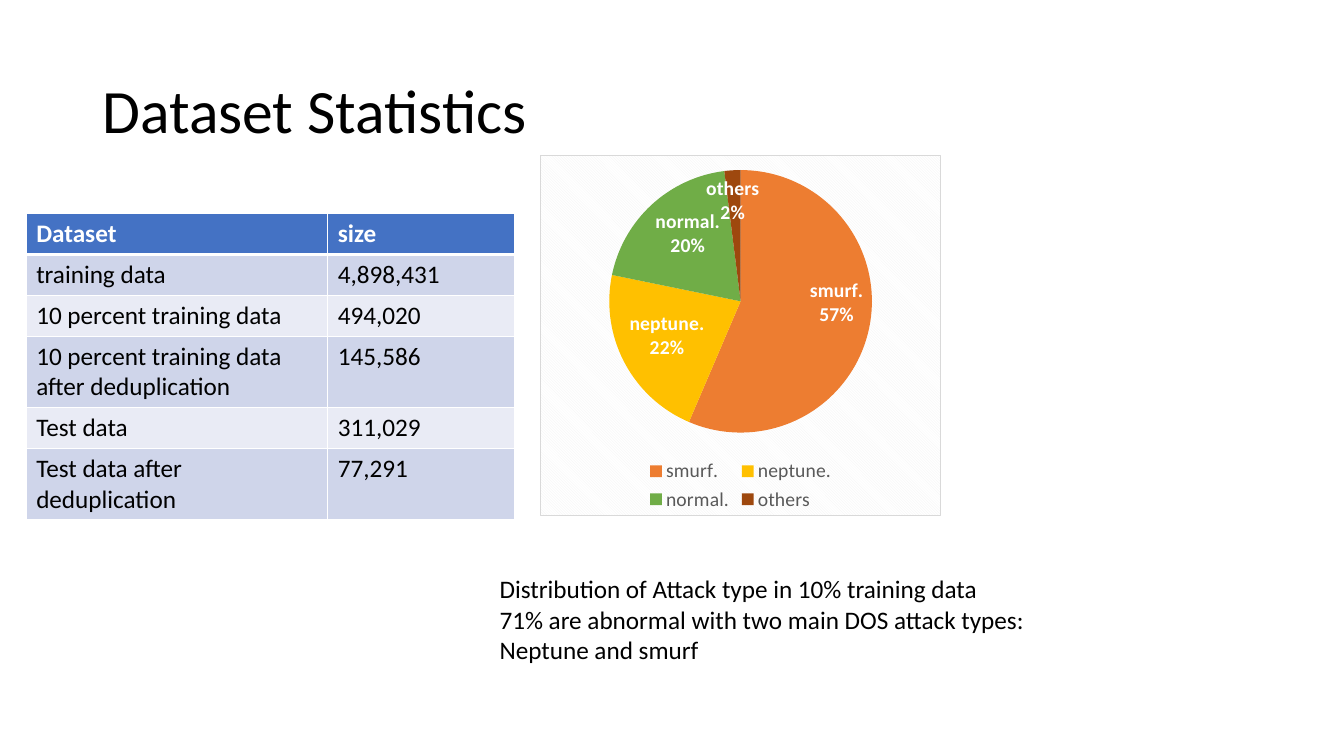
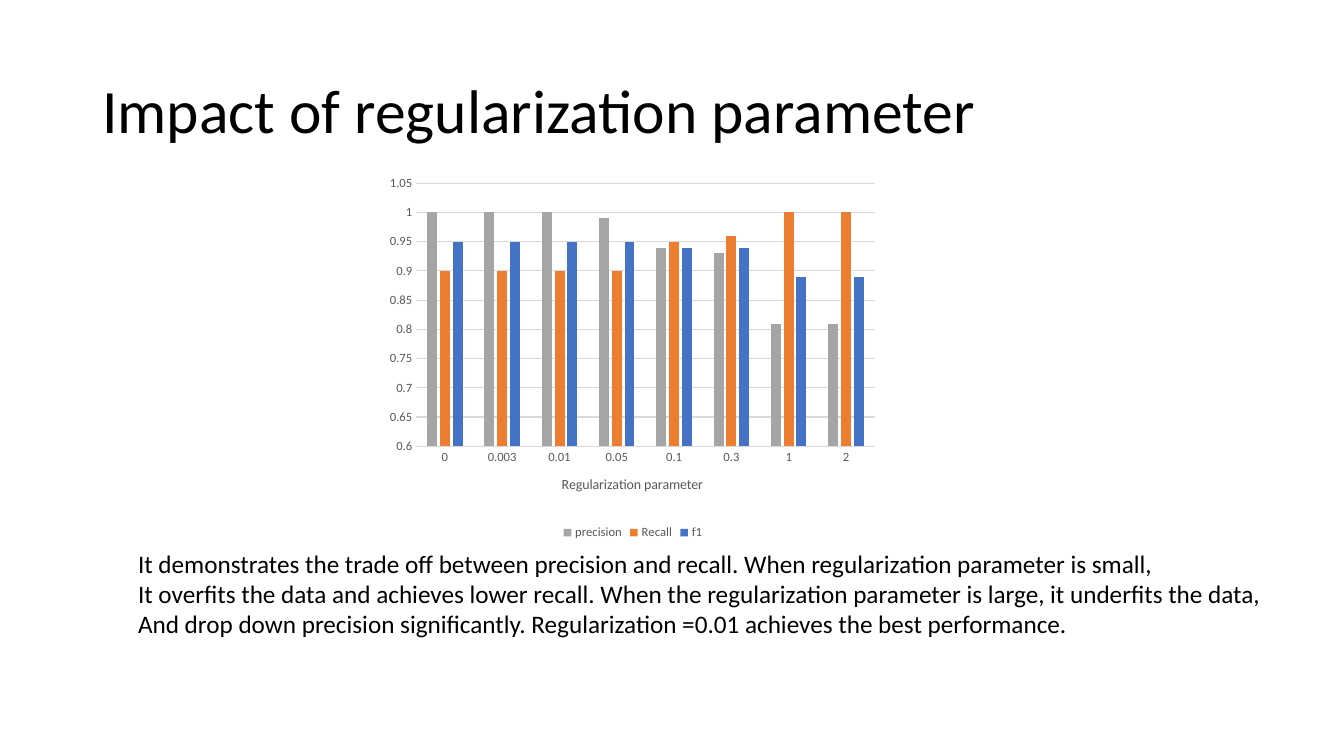
from lxml import etree
from pptx import Presentation
from pptx.chart.data import CategoryChartData
from pptx.dml.color import RGBColor
from pptx.enum.chart import XL_CHART_TYPE, XL_LABEL_POSITION, XL_LEGEND_POSITION, XL_TICK_MARK
from pptx.enum.text import MSO_ANCHOR
from pptx.oxml import parse_xml
from pptx.oxml.ns import qn
from pptx.util import Cm, Pt

PIE, BARS = XL_CHART_TYPE.PIE, XL_CHART_TYPE.COLUMN_CLUSTERED
INSIDE, BOTTOM = XL_LABEL_POSITION.INSIDE_END, XL_LEGEND_POSITION.BOTTOM
NO_TICK = XL_TICK_MARK.NONE
TOP, MIDDLE = MSO_ANCHOR.TOP, MSO_ANCHOR.MIDDLE

FONT = "Calibri"
BLACK, WHITE, GREY, RULE = "000000", "FFFFFF", "595959", "D9D9D9"
BLUE, ORANGE, GOLD = "4472C4", "ED7D31", "FFC000"
GREEN, BROWN, SILVER = "70AD47", "9E480E", "A5A5A5"
BANDS = ("E9EBF5", "CFD5EA")
SPACES = ('xmlns:a="http://schemas.openxmlformats.org/drawingml/2006/main" '
          'xmlns:c="http://schemas.openxmlformats.org/drawingml/2006/chart"')

SIZES = [
    ("Dataset", "size"),
    ("training data", "4,898,431"),
    ("10 percent training data", "494,020"),
    ("10 percent training data after deduplication", "145,586"),
    ("Test data", "311,029"),
    ("Test data after deduplication", "77,291"),
]
ATTACKS = {"smurf.": (57, ORANGE), "neptune.": (22, GOLD),
           "normal.": (20, GREEN), "others": (2, BROWN)}
PARAMS = ["0", "0.003", "0.01", "0.05", "0.1", "0.3", "1", "2"]
SCORES = {
    "precision": ((1, 1, 1, 0.99, 0.94, 0.93, 0.81, 0.81), SILVER),
    "Recall": ((0.9, 0.9, 0.9, 0.9, 0.95, 0.96, 1, 1), ORANGE),
    "f1": ((0.95, 0.95, 0.95, 0.95, 0.94, 0.94, 0.89, 0.89), BLUE),
}


def rgb(code):
    return RGBColor.from_string(code)


def paint(fill, color):
    fill.solid()
    fill.fore_color.rgb = rgb(color)


def style(font, size, color=BLACK, bold=False):
    font.name, font.size, font.bold = FONT, Pt(size), bold
    font.color.rgb = rgb(color)


def write(frame, lines, size=18, color=BLACK, bold=False, space=None):
    for i, line in enumerate(lines):
        para = frame.add_paragraph() if i else frame.paragraphs[0]
        para.line_spacing = space
        run = para.add_run()
        run.text = line
        style(run.font, size, color, bold)


def add_text(slide, box, *lines, wrap=False, anchor=TOP, **look):
    frame = slide.shapes.add_textbox(*map(Cm, box)).text_frame
    frame.word_wrap, frame.vertical_anchor = wrap, anchor
    write(frame, lines, **look)


def add_slide(deck, title):
    slide = deck.slides.add_slide(deck.slide_layouts[6])
    add_text(slide, (2.33, 1.02, 29.21, 3.68), title,
             wrap=True, anchor=MIDDLE, size=44, space=0.9)
    return slide


def edge(cell, head):
    """Draw white cell borders, with a thick one below the header."""
    props = cell._tc.get_or_add_tcPr()
    for i, side in enumerate("LRTB"):
        width = Pt(3 if head and side == "B" else 1)
        props.insert(i, parse_xml(
            f'<a:ln{side} {SPACES} w="{width}"><a:solidFill>'
            f'<a:srgbClr val="{WHITE}"/></a:solidFill></a:ln{side}>'))


def add_sizes(slide, left, top):
    widths, single, double = (7.6, 4.7), 1.03, 1.8
    heights = [double if "after" in name else single for name, _ in SIZES]
    grid = slide.shapes.add_table(
        len(SIZES), len(widths), Cm(left), Cm(top),
        Cm(sum(widths)), Cm(sum(heights))).table
    for col, width in zip(grid.columns, widths):
        col.width = Cm(width)
    for i, (texts, height) in enumerate(zip(SIZES, heights)):
        grid.rows[i].height = Cm(height)
        head = i == 0
        for cell, text in zip(grid.rows[i].cells, texts):
            write(cell.text_frame, [text], bold=head,
                  color=WHITE if head else BLACK)
            paint(cell.fill, BLUE if head else BANDS[i % 2])
            edge(cell, head)


def add_chart(slide, box, kind, names, series, plot, legend):
    """Add a chart whose inner plot takes the given fractions of its box."""
    data = CategoryChartData()
    data.categories = names
    for name, values in series:
        data.add_series(name, values)
    chart = slide.shapes.add_chart(kind, *map(Cm, box), data).chart
    style(chart.font, 10)
    chart.has_title = False
    chart.has_legend = True
    chart.legend.position = BOTTOM
    chart.legend.include_in_layout = False
    style(chart.legend.font, legend, GREY)
    area = chart._chartSpace.chart.plotArea
    for old in area.findall(qn("c:layout")):
        area.remove(old)
    parts = "".join(f'<c:{key} val="{val}"/>' for key, val in zip("xywh", plot))
    area.insert(0, parse_xml(
        f'<c:layout {SPACES}><c:manualLayout><c:layoutTarget val="inner"/>'
        f'<c:xMode val="edge"/><c:yMode val="edge"/>{parts}'
        '</c:manualLayout></c:layout>'))
    return chart


def add_pie(slide, box):
    values = [value for value, _ in ATTACKS.values()]
    chart = add_chart(slide, box, PIE, list(ATTACKS), [("Series 1", values)],
                      (0.17, 0.04, 0.66, 0.73), legend=14)
    chart._chartSpace.chart.addnext(parse_xml(
        f'<c:spPr {SPACES}><a:pattFill prst="dkDnDiag">'
        '<a:fgClr><a:srgbClr val="F2F2F2"/></a:fgClr>'
        f'<a:bgClr><a:srgbClr val="{WHITE}"/></a:bgClr></a:pattFill>'
        f'<a:ln w="{Pt(0.75)}"><a:solidFill><a:srgbClr val="{RULE}"/>'
        '</a:solidFill></a:ln></c:spPr>'))
    plot = chart.plots[0]
    plot.vary_by_categories = True
    for i, (_, color) in enumerate(ATTACKS.values()):
        paint(plot.series[0].points[i].format.fill, color)
    plot.has_data_labels = True
    labels = plot.data_labels
    labels.show_category_name = labels.show_value = True
    labels.show_percentage = False
    labels.number_format, labels.number_format_is_linked = '0"%"', False
    labels.position = INSIDE
    style(labels.font, 14, WHITE, True)
    mark = etree.Element(qn("c:separator"))
    mark.text = "\n"
    labels._element.find(qn("c:showBubbleSize")).addnext(mark)


def rule(line):
    line.color.rgb = rgb(RULE)
    line.width = Pt(0.75)


def add_bars(slide, box):
    series = [(name, values) for name, (values, _) in SCORES.items()]
    chart = add_chart(slide, box, BARS, PARAMS, series,
                      (0.07, 0.04, 0.91, 0.7), legend=9)
    plot = chart.plots[0]
    plot.gap_width, plot.overlap, plot.vary_by_categories = 219, -27, False
    for bars, (_, color) in zip(plot.series, SCORES.values()):
        paint(bars.format.fill, color)
    base, scale = chart.category_axis, chart.value_axis
    for axis in (base, scale):
        axis.major_tick_mark = axis.minor_tick_mark = NO_TICK
        style(axis.tick_labels.font, 9, GREY)
    rule(base.format.line)
    write(base.axis_title.text_frame, ["Regularization parameter"],
          size=10, color=GREY)
    scale.minimum_scale, scale.maximum_scale, scale.major_unit = 0.6, 1.05, 0.05
    scale.tick_labels.number_format = "General"
    scale.tick_labels.number_format_is_linked = False
    scale.format.line.fill.background()
    rule(scale.major_gridlines.format.line)


def add_data(deck):
    slide = add_slide(deck, "Dataset Statistics")
    add_sizes(slide, 0.66, 5.38)
    add_text(slide, (12.34, 14.33, 13.89, 2.57),
             "Distribution of Attack type in 10% training data",
             "71% are abnormal with two main DOS attack types:",
             "Neptune and smurf")
    add_pie(slide, (13.61, 3.91, 10.11, 9.09))


def add_impact(deck):
    slide = add_slide(deck, "Impact of regularization parameter")
    add_bars(slide, (9.6, 4.24, 12.7, 9.47))
    add_text(slide, (3.23, 13.69, 29.16, 2.57),
             "It demonstrates the trade off between precision and recall. "
             "When regularization parameter is small,",
             "It overfits the data and achieves lower recall. "
             "When the regularization parameter is large, it underfits the data,",
             "And drop down precision significantly. "
             "Regularization =0.01 achieves the best performance.")


def main():
    deck = Presentation()
    deck.slide_width, deck.slide_height = Cm(33.87), Cm(19.05)
    add_data(deck)
    add_impact(deck)
    deck.save("out.pptx")


if __name__ == "__main__":
    main()
